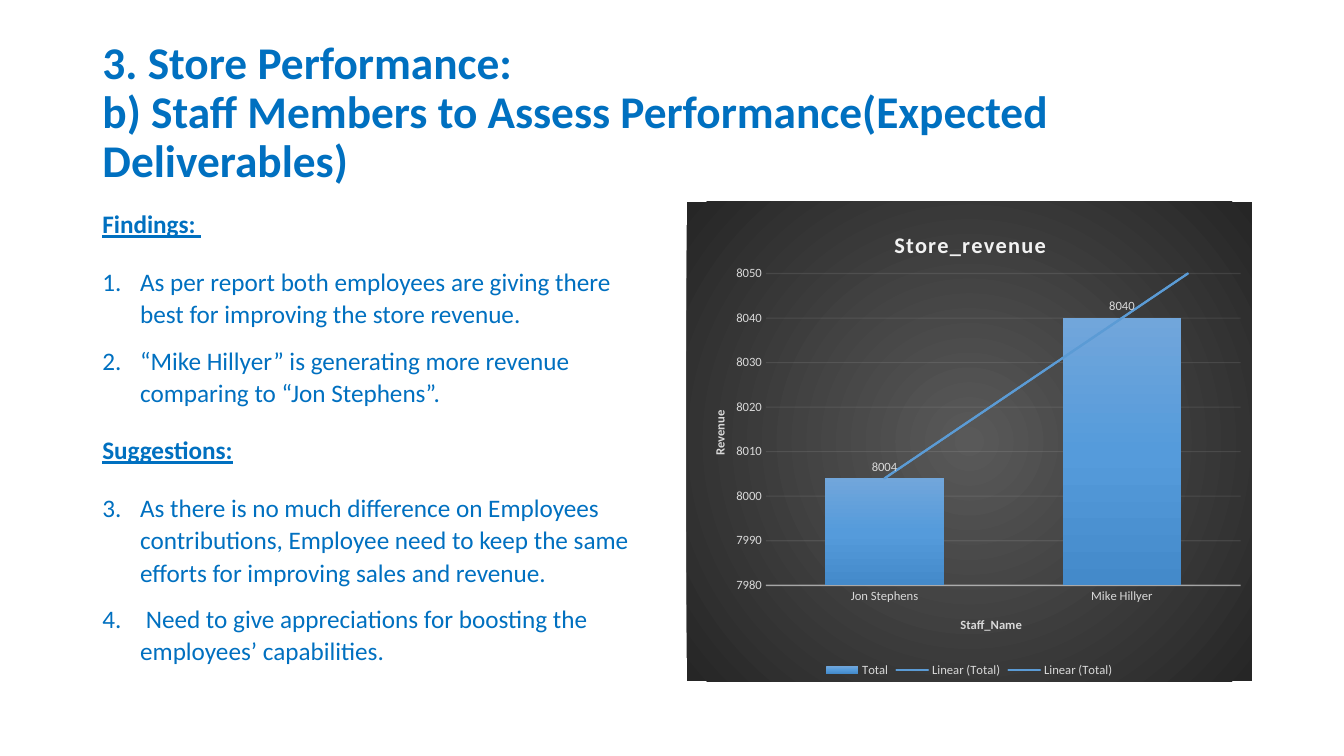
from dataclasses import dataclass
from typing import Any

from lxml import etree
from pptx import Presentation
from pptx.chart.data import CategoryChartData
from pptx.dml.color import RGBColor
from pptx.enum.chart import XL_CHART_TYPE, XL_LABEL_POSITION, XL_LEGEND_POSITION, XL_TICK_MARK
from pptx.enum.text import MSO_ANCHOR, MSO_AUTO_SIZE, PP_ALIGN
from pptx.oxml import parse_xml
from pptx.oxml.ns import nsdecls, qn
from pptx.util import Pt

COLUMNS = XL_CHART_TYPE.COLUMN_CLUSTERED
OUTSIDE_END = XL_LABEL_POSITION.OUTSIDE_END
BOTTOM = XL_LEGEND_POSITION.BOTTOM
NO_TICK = XL_TICK_MARK.NONE
TOP, MIDDLE = MSO_ANCHOR.TOP, MSO_ANCHOR.MIDDLE
NO_FIT = MSO_AUTO_SIZE.NONE
LEFT = PP_ALIGN.LEFT
FONT = "Calibri"
BLUE, PALE, WHITE = "0070C0", "D9D9D9", "F2F2F2"
INDENT = 27
NS = nsdecls("a", "c")


@dataclass
class Para:
    text: str
    number: int = 0
    after: float = 8


@dataclass
class Caption:
    owner: Any
    text: str
    size: float
    color: str
    x: float
    y: float
    spacing: int = 0


BODY = [
    Para("Findings: "),
    Para("As per report both employees are giving there best for improving the store revenue.", 1, 0),
    Para("“Mike Hillyer” is generating more revenue comparing to “Jon Stephens”.", 1),
    Para("Suggestions:"),
    Para("As there is no much difference on Employees contributions, Employee need to keep "
         "the same efforts for improving sales and revenue.", 3, 0),
    Para(" Need to give appreciations for boosting the employees’ capabilities.", 3),
]


def set_attrs(obj: Any, **values: Any) -> None:
    for name, value in values.items():
        setattr(obj, name, value)


def rgb(color: str) -> RGBColor:
    return RGBColor.from_string(color)


def set_font(font: Any, size: float, color: str, **values: Any) -> None:
    set_attrs(font, name=FONT, size=Pt(size), **values)
    font.color.rgb = rgb(color)


def place(sp: Any, left: float, top: float, width: float, height: float) -> None:
    set_attrs(sp, left=Pt(left), top=Pt(top), width=Pt(width), height=Pt(height))


def set_line(line: Any, color: str, width: float, opacity: int) -> None:
    line.width = Pt(width)
    line.color.rgb = rgb(color)
    clr = line._ln.find(".//" + qn("a:srgbClr"))
    etree.SubElement(clr, qn("a:alpha"), val=str(opacity * 1000))


def gradient(stops: dict[int, str], shade: str) -> str:
    gs = "".join(f'<a:gs pos="{pos * 1000}"><a:srgbClr val="{color}"/></a:gs>'
                 for pos, color in stops.items())
    return f"<a:gradFill {NS}><a:gsLst>{gs}</a:gsLst>{shade}</a:gradFill>"


def layout(inner: bool = False, **box: float) -> Any:
    target = '<c:layoutTarget val="inner"/>' if inner else ""
    sizes = "".join(f'<c:{key} val="{value}"/>' for key, value in box.items())
    return parse_xml(f'<c:layout {NS}><c:manualLayout>{target}<c:xMode val="edge"/>'
                     f'<c:yMode val="edge"/>{sizes}</c:manualLayout></c:layout>')


def set_layout(parent: Any, new: Any, after: str = "") -> None:
    for old in parent.findall(qn("c:layout")):
        parent.remove(old)
    if after:
        parent.find(qn(after)).addnext(new)
    else:
        parent.insert(0, new)


def add_caption(cap: Caption) -> None:
    title = cap.owner
    r = title.text_frame.paragraphs[0].add_run()
    r.text = cap.text
    set_font(r.font, cap.size, cap.color, bold=True)
    r._r.get_or_add_rPr().set("spc", str(cap.spacing))
    set_layout(title._element, layout(x=cap.x, y=cap.y), "c:tx")


def add_title(s: Any) -> None:
    sp = s.shapes.title
    place(sp, 66, 28.8, 828, 104.4)
    tf = sp.text_frame
    set_attrs(tf, word_wrap=True, auto_size=NO_FIT, vertical_anchor=MIDDLE)
    tf.text = "3. Store Performance:\vb) Staff Members to Assess Performance(Expected Deliverables)"
    p = tf.paragraphs[0]
    set_attrs(p, alignment=LEFT, line_spacing=0.9, space_before=Pt(0))
    for r in p.runs:
        set_font(r.font, 32.4, BLUE, bold=True)


def add_body(s: Any) -> None:
    sp = s.shapes.add_textbox(0, 0, 0, 0)
    place(sp, 66, 144, 408, 342.7)
    tf = sp.text_frame
    set_attrs(tf, word_wrap=True, auto_size=NO_FIT, vertical_anchor=TOP)
    for i, para in enumerate(BODY):
        p = tf.add_paragraph() if i else tf.paragraphs[0]
        set_attrs(p, line_spacing=1.07, space_before=Pt(10), space_after=Pt(para.after))
        r = p.add_run()
        r.text = para.text
        heading = not para.number
        set_font(r.font, 18, BLUE, bold=heading, underline=heading)
        if para.number:
            pPr = p._p.get_or_add_pPr()
            pPr.set("marL", str(Pt(INDENT)))
            pPr.set("indent", str(Pt(-INDENT)))
            etree.SubElement(pPr, qn("a:buFont"), typeface="+mj-lt")
            etree.SubElement(pPr, qn("a:buAutoNum"), type="arabicPeriod", startAt=str(para.number))


def add_trend(ser: Any) -> None:
    ser.find(qn("c:cat")).addprevious(parse_xml(
        f'<c:trendline {NS}><c:name>Linear (Total)</c:name><c:spPr><a:ln w="{Pt(1.5)}" cap="rnd">'
        '<a:solidFill><a:srgbClr val="5B9BD5"/></a:solidFill></a:ln></c:spPr>'
        '<c:trendlineType val="linear"/><c:forward val="0.28"/>'
        '<c:dispRSqr val="0"/><c:dispEq val="0"/></c:trendline>'))


def add_revenue_chart(s: Any) -> None:
    data = CategoryChartData(number_format="General")
    data.categories = ["Jon Stephens", "Mike Hillyer"]
    data.add_series("Total", [8004, 8040])
    frame = s.shapes.add_chart(COLUMNS, Pt(490.5), Pt(144), Pt(403.8), Pt(342.7), data)
    chart = frame.chart
    set_font(chart.font, 10, "000000")
    chart.has_title = chart.has_legend = True
    set_attrs(chart.legend, position=BOTTOM, include_in_layout=False)
    set_font(chart.legend.font, 9, PALE)

    plot = chart.plots[0]
    set_attrs(plot, gap_width=100, overlap=-24, vary_by_categories=False, has_data_labels=True)
    set_attrs(plot.data_labels, show_value=True, position=OUTSIDE_END)
    set_font(plot.data_labels.font, 9, PALE)
    ser = plot.series[0]._element
    bar = gradient({0: "71A6DB", 50: "559BDB", 100: "448ACA"}, '<a:lin ang="5400000" scaled="0"/>')
    ser.get_or_add_spPr().insert(0, parse_xml(bar))
    for _ in range(2):
        add_trend(ser)

    cat, val = chart.category_axis, chart.value_axis
    for axis in (cat, val):
        set_attrs(axis, major_tick_mark=NO_TICK, minor_tick_mark=NO_TICK, has_title=True)
        set_font(axis.tick_labels.font, 9, PALE)
    set_attrs(val, minimum_scale=7980, maximum_scale=8050, major_unit=10, has_major_gridlines=True)
    val.format.line.fill.background()
    set_line(cat.format.line, WHITE, 1, 54)
    set_line(val.major_gridlines.format.line, WHITE, 0.75, 10)

    for cap in (
        Caption(chart.chart_title, "Store_revenue", 16, WHITE, 0.36, 0.05, 100),
        Caption(cat.axis_title, "Staff_Name", 9, PALE, 0.48, 0.86),
        Caption(val.axis_title, "Revenue", 9, PALE, 0.04, 0.43),
    ):
        add_caption(cap)

    space = chart._chartSpace
    area = space.find(".//" + qn("c:plotArea"))
    set_layout(area, layout(True, x=0.14, y=0.15, w=0.84, h=0.65))
    circle = ('<a:path path="circle"><a:fillToRect l="50000" t="50000" r="50000" b="50000"/>'
              "</a:path>")
    fill = gradient({0: "595959", 100: "262626"}, circle)
    space.find(qn("c:chart")).addnext(
        parse_xml(f"<c:spPr {NS}>{fill}<a:ln><a:noFill/></a:ln></c:spPr>"))


def main() -> None:
    prs = Presentation()
    set_attrs(prs, slide_width=Pt(960), slide_height=Pt(540))
    s = prs.slides.add_slide(prs.slide_layouts[5])
    add_title(s)
    add_body(s)
    add_revenue_chart(s)
    prs.save("out.pptx")


if __name__ == "__main__":
    main()
